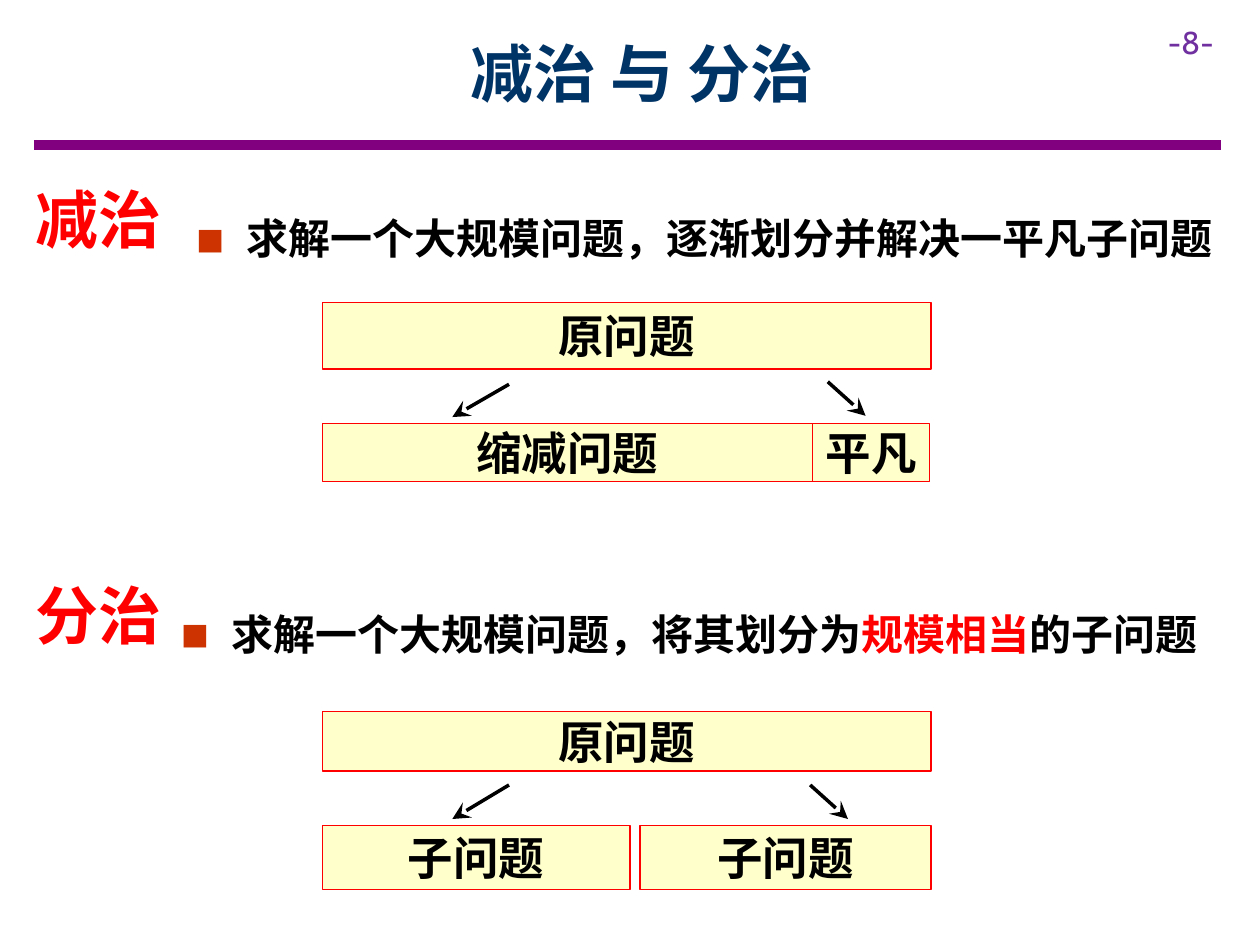
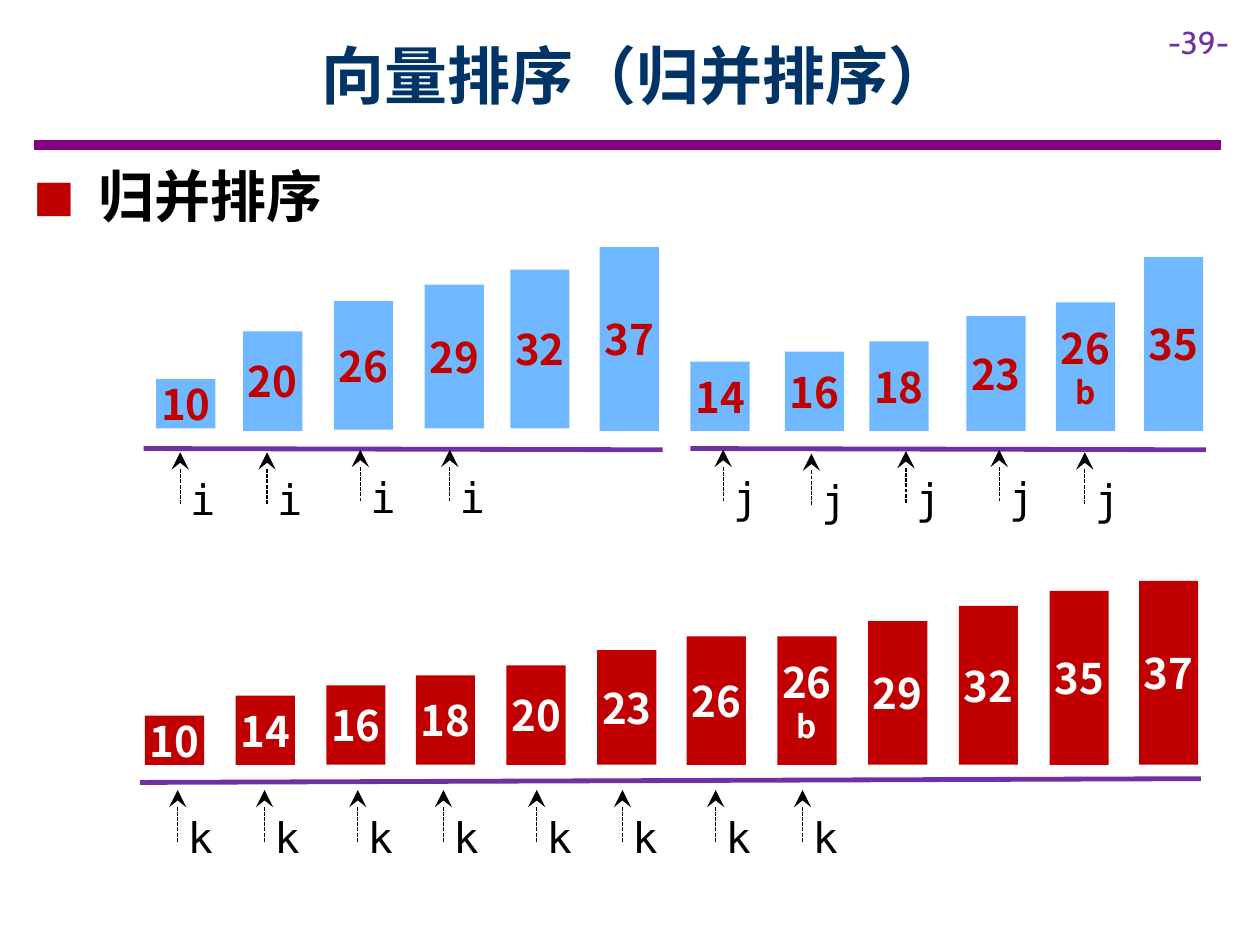
"""Build two slides on decrease-and-conquer, divide-and-conquer and merge sort."""
from dataclasses import dataclass
from typing import Any

import lxml.etree
import pptx
import pptx.dml.color
import pptx.enum.dml
import pptx.enum.shapes
import pptx.enum.text
import pptx.oxml.ns
import pptx.util

RGB = pptx.dml.color.RGBColor
ALIGN = pptx.enum.text.PP_ALIGN
MIDDLE = pptx.enum.text.MSO_ANCHOR.MIDDLE

PX = 9144
TITLE_ONLY = 5
NAVY = RGB(0x00, 0x33, 0x66)
PLUM = RGB(0x80, 0x00, 0x80)
VIOLET = RGB(0x70, 0x30, 0xA0)
RED = RGB(0xFF, 0x00, 0x00)
CRIMSON = RGB(0xC0, 0x00, 0x00)
RUST = RGB(0xCC, 0x33, 0x00)
CREAM = RGB(0xFF, 0xFF, 0xCC)
SKY = RGB(0x70, 0xB8, 0xFF)
BLACK = RGB(0x00, 0x00, 0x00)
WHITE = RGB(0xFF, 0xFF, 0xFF)
CJK = "Noto Sans CJK SC"
MONO = "DejaVu Sans Mono"
PAGE_FONT = "Cabin"

BAR_WIDTH = 47
BAR_HEIGHT_PER_UNIT = 3.94


@dataclass(frozen=True)
class Area:
    left: int
    top: int
    width: int
    height: int

    def emu(self) -> list[int]:
        """Return the area as EMU lengths."""
        return [n * PX for n in (self.left, self.top, self.width, self.height)]


@dataclass(frozen=True)
class Line:
    x1: int
    y1: int
    x2: int
    y2: int


@dataclass(frozen=True)
class Problem:
    name: str
    area: Area


@dataclass(frozen=True)
class Strategy:
    name: str
    name_area: Area
    summary: tuple[tuple[str, RGB], ...]
    summary_area: Area
    problems: tuple[Problem, ...]
    splits: tuple[Line, ...]


@dataclass(frozen=True)
class Bar:
    label: str
    left: int
    bottom: int

    @property
    def height(self) -> int:
        """Return a height in proportion to the bar's value."""
        return round(int(self.label.split()[0]) * BAR_HEIGHT_PER_UNIT)


@dataclass(frozen=True)
class Cursor:
    letter: str
    x: int
    foot: int


STRATEGIES = (
    Strategy(
        "减治", Area(18, 138, 130, 71),
        (("求解一个大规模问题，逐渐划分并解决一平凡子问题", BLACK),),
        Area(148, 160, 826, 55),
        (Problem("原问题", Area(256, 240, 483, 53)),
         Problem("缩减问题", Area(256, 336, 389, 46)),
         Problem("平凡", Area(645, 336, 93, 46))),
        (Line(657, 303, 687, 330), Line(404, 305, 359, 331)),
    ),
    Strategy(
        "分治", Area(18, 453, 152, 71),
        (("求解一个大规模问题，将其划分为", BLACK), ("规模相当", RED), ("的子问题", BLACK)),
        Area(136, 474, 850, 51),
        (Problem("原问题", Area(256, 565, 483, 47)),
         Problem("子问题", Area(256, 655, 244, 51)),
         Problem("子问题", Area(508, 655, 231, 51))),
        (Line(643, 623, 673, 650), Line(404, 623, 359, 650)),
    ),
)

LEFT_RUN = (Bar("10", 124, 340), Bar("20", 193, 342), Bar("26", 265, 341),
            Bar("29", 337, 340), Bar("32", 405, 340), Bar("37", 476, 342))
RIGHT_RUN = tuple(Bar(label, left, 342) for label, left in (
    ("14", 548), ("16", 623), ("18", 690), ("23", 767), ("26 b", 838), ("35", 908)))
MERGED = tuple(Bar(label, 115 + round(71.75 * i), 607) for i, label in enumerate(
    ("10", "14", "16", "18", "20", "23", "26", "26 b", "29", "32", "35", "37")))
BASELINES = (Line(111, 621, 953, 618), Line(114, 356, 526, 357), Line(548, 356, 957, 357))
CURSORS = (
    *(Cursor("i", x, foot) for x, foot in ((143, 400), (212, 400), (286, 398), (357, 398))),
    *(Cursor("j", x, foot) for x, foot in (
        (574, 398), (644, 401), (719, 399), (793, 398), (861, 400))),
    *(Cursor("k", x, 668) for x in (141, 210, 284, 352, 426, 494, 568, 637)),
)


def add_child(parent: Any, tag: str, **attributes: str) -> Any:
    """Append a DrawingML element to its parent."""
    return lxml.etree.SubElement(parent, pptx.oxml.ns.qn(tag), attributes)


def add_bullet(paragraph: Any, color: RGB, percent: int, indent: int) -> None:
    """Give a paragraph a square bullet with a hanging indent."""
    properties = paragraph._p.get_or_add_pPr()
    properties.set("marL", str(indent * PX))
    properties.set("indent", str(-indent * PX))
    add_child(add_child(properties, "a:buClr"), "a:srgbClr", val=str(color))
    add_child(properties, "a:buSzPct", val=str(percent * 1000))
    add_child(properties, "a:buFont", typeface=MONO)
    add_child(properties, "a:buChar", char="■")


def write(shape: Any, text: str, *, size: int, color: RGB, font: str = CJK,
          bold: bool = True, align: Any = ALIGN.LEFT, same_line: bool = False) -> Any:
    """Write formatted text on a new or continued line and return its paragraph."""
    frame = shape.text_frame
    paragraph = frame.paragraphs[-1]
    if paragraph.runs and not same_line:
        paragraph = frame.add_paragraph()
    paragraph.alignment = align
    run = paragraph.add_run()
    run.text = text
    run.font.size = pptx.util.Pt(size)
    run.font.bold = bold
    run.font.color.rgb = color
    run.font.name = font
    for tag in ("a:ea", "a:cs"):
        add_child(run._r.get_or_add_rPr(), tag, typeface=font)
    return paragraph


def add_text_area(shapes: Any, area: Area, wrap: bool = True) -> Any:
    """Add an empty text box."""
    box = shapes.add_textbox(*area.emu())
    box.text_frame.word_wrap = wrap
    return box


def add_line(shapes: Any, line: Line, color: RGB, weight: float,
             arrow: bool = False, dashed: bool = False) -> None:
    """Draw a straight line, optionally dashed or with an arrowhead."""
    connector = shapes.add_connector(
        pptx.enum.shapes.MSO_CONNECTOR.STRAIGHT,
        line.x1 * PX, line.y1 * PX, line.x2 * PX, line.y2 * PX)
    connector.line.color.rgb = color
    connector.line.width = pptx.util.Pt(weight)
    if dashed:
        connector.line.dash_style = pptx.enum.dml.MSO_LINE.SQUARE_DOT
    if arrow:
        add_child(connector.line._get_or_add_ln(), "a:tailEnd",
                  type="stealth", w="lg", len="lg")
    add_child(connector._element.spPr, "a:effectLst")


def add_block(shapes: Any, area: Area, fill: RGB, outline: RGB | None = None,
              side_inset: int = 10) -> Any:
    """Add a filled rectangle ready for centred text."""
    block = shapes.add_shape(pptx.enum.shapes.MSO_SHAPE.RECTANGLE, *area.emu())
    block.shadow.inherit = False
    block.fill.solid()
    block.fill.fore_color.rgb = fill
    if outline is None:
        block.line.fill.background()
    else:
        block.line.color.rgb = outline
        block.line.width = pptx.util.Pt(0.75)
    frame = block.text_frame
    frame.word_wrap = True
    frame.vertical_anchor = MIDDLE
    frame.margin_left = frame.margin_right = side_inset * PX
    frame.margin_top = frame.margin_bottom = 10 * PX
    return block


def add_titled_slide(deck: Any, heading: str, area: Area, page: int) -> Any:
    """Add a slide with its title, rule and page number."""
    slide = deck.slides.add_slide(deck.slide_layouts[TITLE_ONLY])
    add_line(slide.shapes, Line(27, 115, 969, 115), PLUM, 6)
    page_number = add_text_area(slide.shapes, Area(917, 13, 83, 40))
    write(page_number, f"-{page}-", size=18, color=VIOLET, font=PAGE_FONT, bold=False)
    title = slide.shapes.title
    title.left, title.top, title.width, title.height = area.emu()
    title.text_frame.vertical_anchor = MIDDLE
    title.text_frame.auto_size = pptx.enum.text.MSO_AUTO_SIZE.NONE
    write(title, heading, size=36, color=NAVY, align=ALIGN.CENTER)
    return slide


def draw_strategy(shapes: Any, strategy: Strategy) -> None:
    """Draw a strategy's name, summary and problem split."""
    write(add_text_area(shapes, strategy.name_area), strategy.name, size=36, color=RED)
    summary = add_text_area(shapes, strategy.summary_area)
    for text, color in strategy.summary:
        paragraph = write(summary, text, size=24, color=color, same_line=True)
    paragraph.line_spacing = 1.1
    add_bullet(paragraph, RUST, 90, 38)
    for problem in strategy.problems:
        block = add_block(shapes, problem.area, CREAM, RED)
        write(block, problem.name, size=26, color=BLACK, align=ALIGN.CENTER)
    for split in strategy.splits:
        add_line(shapes, split, BLACK, 2, arrow=True)


def draw_bars(shapes: Any, bars: tuple[Bar, ...], fill: RGB, ink: RGB) -> None:
    """Draw a sorted run as labelled bars."""
    for bar in bars:
        area = Area(bar.left, bar.bottom - bar.height, BAR_WIDTH, bar.height)
        block = add_block(shapes, area, fill, side_inset=0)
        for part, size in zip(bar.label.split(), (24, 18)):
            write(block, part, size=size, color=ink, align=ALIGN.CENTER)


def draw_cursor(shapes: Any, cursor: Cursor) -> None:
    """Draw an index letter grouped with its upward arrow."""
    members = shapes.add_group_shape().shapes
    letter = add_text_area(members, Area(cursor.x - 2, cursor.foot - 29, 39, 50), wrap=False)
    write(letter, cursor.letter, size=24, color=BLACK, font=MONO, bold=False)
    add_line(members, Line(cursor.x, cursor.foot, cursor.x, cursor.foot - 41),
             BLACK, 0.75, arrow=True, dashed=True)


def build_strategies(deck: Any) -> None:
    """Build the comparison of the two strategies."""
    slide = add_titled_slide(deck, "减治 与 分治", Area(94, 7, 831, 100), 8)
    for strategy in STRATEGIES:
        draw_strategy(slide.shapes, strategy)


def build_merge_sort(deck: Any) -> None:
    """Build the merge of two sorted runs."""
    slide = add_titled_slide(deck, "向量排序（归并排序）", Area(90, 9, 831, 100), 39)
    topic = add_text_area(slide.shapes, Area(20, 123, 945, 64))
    add_bullet(write(topic, "归并排序", size=32, color=BLACK), CRIMSON, 100, 48)
    draw_bars(slide.shapes, MERGED, CRIMSON, WHITE)
    draw_bars(slide.shapes, LEFT_RUN + RIGHT_RUN, SKY, CRIMSON)
    for baseline in BASELINES:
        add_line(slide.shapes, baseline, VIOLET, 2.75)
    for cursor in CURSORS:
        draw_cursor(slide.shapes, cursor)


def main() -> None:
    """Build and save the deck."""
    deck = pptx.Presentation()
    deck.slide_width = 1000 * PX
    deck.slide_height = 750 * PX
    build_strategies(deck)
    build_merge_sort(deck)
    deck.save("out.pptx")


if __name__ == "__main__":
    main()
